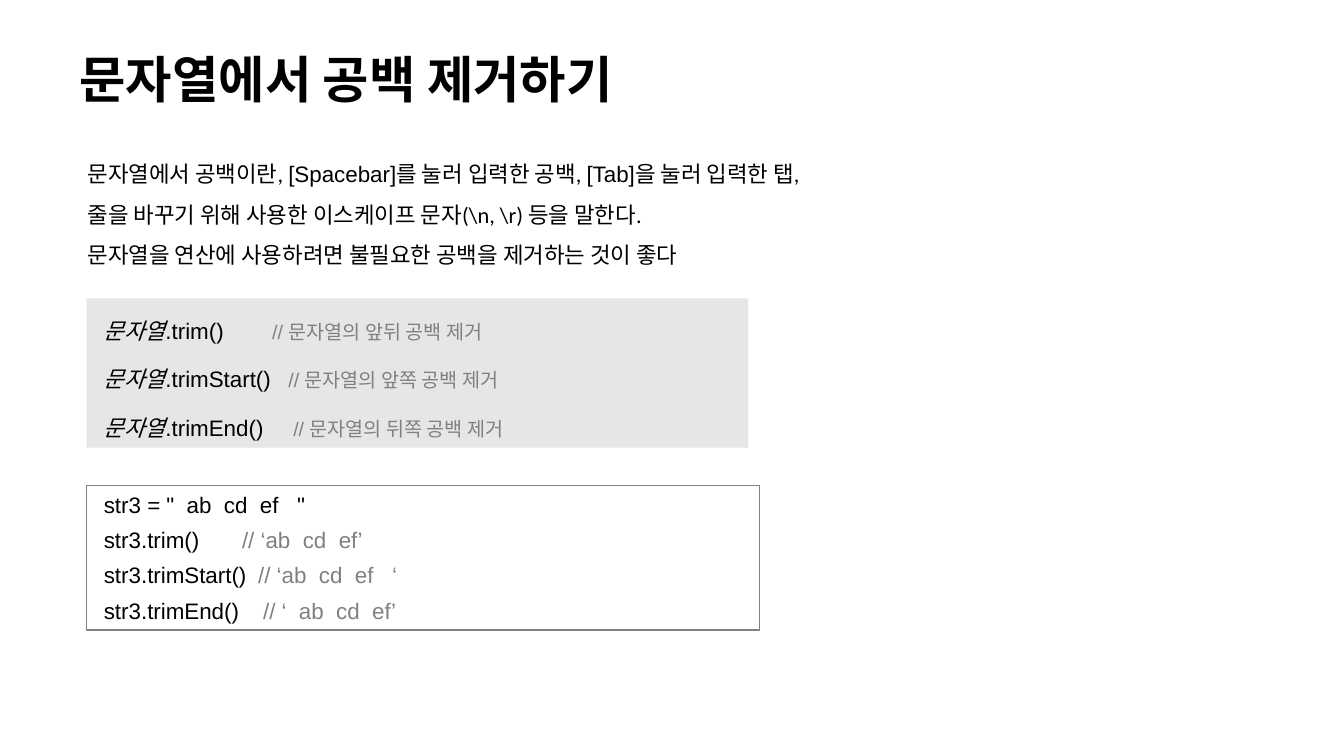
from dataclasses import dataclass

from lxml.etree import SubElement
from pptx import Presentation
from pptx.dml.color import RGBColor as RGB
from pptx.enum.shapes import MSO_SHAPE as Kind
from pptx.enum.text import MSO_ANCHOR as Anchor, MSO_AUTO_SIZE as Fit, PP_ALIGN as Align
from pptx.oxml.ns import qn
from pptx.util import Inches, Pt


@dataclass(frozen=True)
class Theme:
    ink: str = "000000"
    note: str = "808080"
    panel: str = "E7E6E6"
    head: int = 36
    body: int = 16
    small: int = 14
    korean: str = "Noto Sans CJK KR"
    prose: str = "Calibri"
    code: str = "Arial"


class Page:
    """One slide; lengths are percentages of its width and height."""

    def __init__(self, deck, theme):
        self.deck, self.theme = deck, theme
        self.slide = deck.slides.add_slide(deck.slide_layouts[6])

    def wide(self, share):
        return round(self.deck.slide_width * share / 100)

    def high(self, share):
        return round(self.deck.slide_height * share / 100)

    def area(self, x, y, w, h):
        return self.wide(x), self.high(y), self.wide(w), self.high(h)

    def frame(self, shape, **style):
        frame = shape.text_frame
        base = dict(word_wrap=True, auto_size=Fit.NONE, vertical_anchor=Anchor.TOP)
        for name, value in (base | style).items():
            setattr(frame, name, value)
        return frame

    def text(self, box, **style):
        return self.frame(self.slide.shapes.add_textbox(*self.area(*box)), **style)

    def panel(self, box, fill=None, line=None):
        shape = self.slide.shapes.add_shape(Kind.RECTANGLE, *self.area(*box))
        shape.shadow.inherit = False
        for part, color in ((shape.fill, fill), (shape.line.fill, line)):
            if color:
                part.solid()
                part.fore_color.rgb = RGB.from_string(color)
            else:
                part.background()
        if line:
            shape.line.width = Pt(0.75)
        return self.frame(shape, margin_left=Inches(0.17))

    def para(self, frame, first=False, tab=None, **style):
        para = frame.paragraphs[0] if first else frame.add_paragraph()
        for name, value in (dict(alignment=Align.LEFT) | style).items():
            setattr(para, name, value)
        if tab:
            stops = SubElement(para._p.get_or_add_pPr(), qn("a:tabLst"))
            SubElement(stops, qn("a:tab"), pos=str(self.wide(tab)), algn="l")
        return para

    def run(self, para, words, face, size=None, color=None, **style):
        run = para.add_run()
        run.text = words
        font = run.font
        base = dict(name=face, size=Pt(size or self.theme.body))
        for name, value in (base | style).items():
            setattr(font, name, value)
        font.color.rgb = RGB.from_string(color or self.theme.ink)
        SubElement(run._r.get_or_add_rPr(), qn("a:ea"), typeface=self.theme.korean)


def title(page):
    look = page.theme
    frame = page.text((5.18, 4.67, 73.07, 12.27), vertical_anchor=Anchor.MIDDLE)
    para = page.para(frame, True, line_spacing=0.9)
    page.run(para, "문자열에서 공백 제거하기", look.korean, look.head, bold=True)


def intro(page):
    prose, code = page.theme.prose, page.theme.code
    frame = page.text((5.78, 18.8, 80.12, 16.93))
    para = page.para(frame, True, line_spacing=1.5)
    for words, face in (
        ("문자열에서 공백이란, ", prose),
        ("[Spacebar]", code),
        ("를 눌러 입력한 공백, ", prose),
        ("[Tab]", code),
        ("을 눌러 입력한 탭, ", prose),
    ):
        page.run(para, words, face)
    para.add_line_break()
    page.run(para, r"줄을 바꾸기 위해 사용한 이스케이프 문자(\n, \r) 등을 말한다.", prose)
    last = page.para(frame, line_spacing=1.5, alignment=Align.JUSTIFY)
    page.run(last, "문자열을 연산에 사용하려면 불필요한 공백을 제거하는 것이 좋다", prose)


def syntax(page):
    look = page.theme
    frame = page.panel((6.45, 39.47, 49.21, 19.73), fill=look.panel)
    rows = (("trim", "앞뒤", 12.53), ("trimStart", "앞쪽", 13.73), ("trimEnd", "뒤쪽", 14.1))
    for i, (call, side, tab) in enumerate(rows):
        para = page.para(frame, i == 0, tab, line_spacing=1.5,
                         space_before=Pt(3), space_after=Pt(3))
        page.run(para, "문자열", look.code, italic=True)
        page.run(para, f".{call}()\t", look.code)
        page.run(para, f"// 문자열의 {side} 공백 제거", look.code, look.small, look.note)


def sample(page):
    look = page.theme
    frame = page.panel((6.45, 64.27, 50.04, 19.07), line=look.note)
    rows = (
        ('str3 = "  ab  cd  ef   "', None, None),
        ("str3.trim()", "// ‘ab  cd  ef’", 10.28),
        ("str3.trimStart()", "// ‘ab  cd  ef   ‘", 11.48),
        ("str3.trimEnd()", "// ‘  ab  cd  ef’", 11.85),
    )
    for i, (code, note, tab) in enumerate(rows):
        para = page.para(frame, i == 0, tab, space_before=Pt(3), space_after=Pt(3))
        page.run(para, code + ("\t" if note else ""), look.code)
        if note:
            page.run(para, note, look.code, color=look.note)


def main():
    deck = Presentation()
    deck.slide_width, deck.slide_height = Inches(13.33), Inches(7.5)
    page = Page(deck, Theme())
    for draw in (title, intro, syntax, sample):
        draw(page)
    deck.save("out.pptx")


if __name__ == "__main__":
    main()
